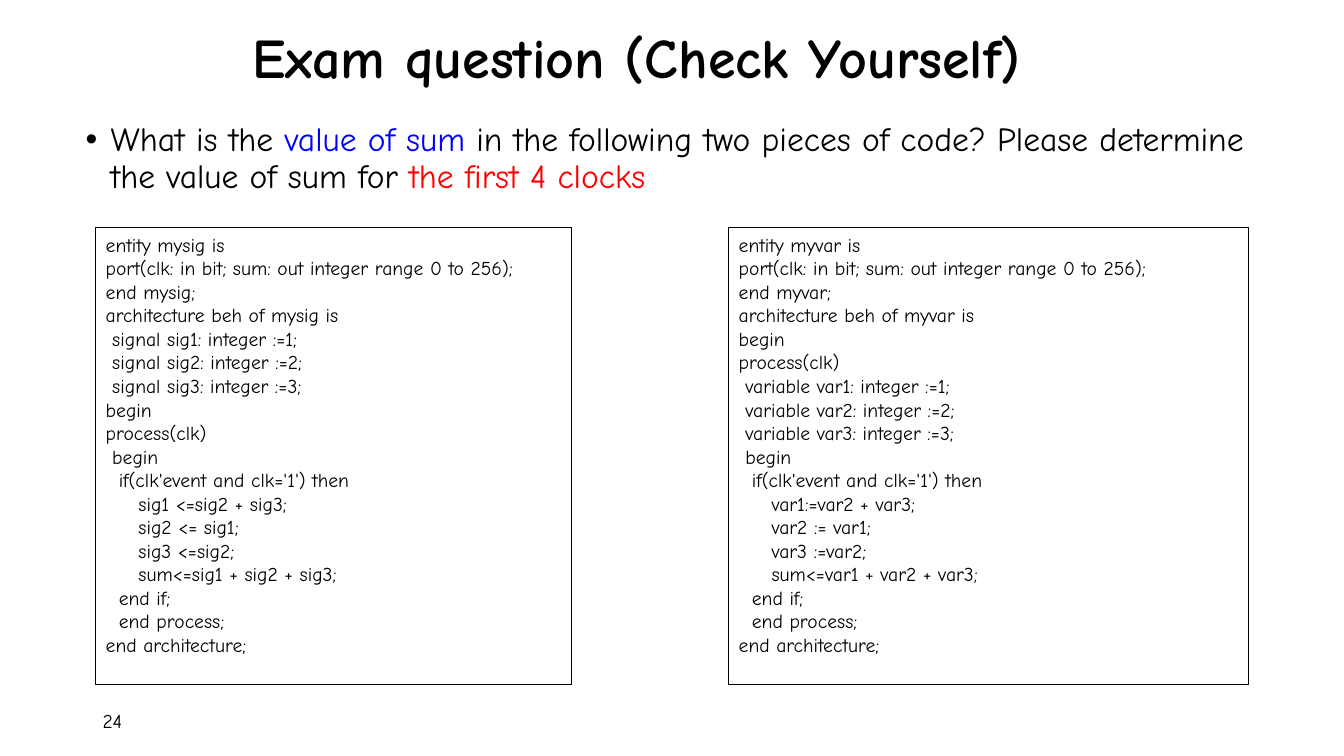
"""Build the exam question slide with two code listings side by side."""
from lxml import etree
from pptx import Presentation
from pptx.dml.color import RGBColor
from pptx.enum.shapes import MSO_SHAPE
from pptx.enum.text import MSO_ANCHOR, PP_ALIGN
from pptx.oxml.ns import qn
from pptx.util import Pt

RECT = MSO_SHAPE.RECTANGLE
TOP, MIDDLE = MSO_ANCHOR.TOP, MSO_ANCHOR.MIDDLE
LEFT = PP_ALIGN.LEFT
FACE = "Comic Neue"
BLACK, WHITE, BLUE, RED = "000000", "FFFFFF", "0000FF", "FF0000"

TITLE = "Exam question (Check Yourself)"
ASK = [
    ("What is the ", BLACK),
    ("value of sum ", BLUE),
    ("in the following two pieces of code? Please determine the value of sum for ", BLACK),
    ("the first 4 clocks", RED),
]
NUMBER = "24"
SIG = """entity mysig is
port(clk: in bit; sum: out integer range 0 to 256);
end mysig;
architecture beh of mysig is
 signal sig1: integer :=1;
 signal sig2: integer :=2;
 signal sig3: integer :=3;
begin
process(clk)
 begin
  if(clk'event and clk='1') then
     sig1 <=sig2 + sig3;
     sig2 <= sig1;
     sig3 <=sig2;
     sum<=sig1 + sig2 + sig3;
  end if;
  end process;
end architecture;"""
VAR = """entity myvar is
port(clk: in bit; sum: out integer range 0 to 256);
end myvar;
architecture beh of myvar is
begin
process(clk)
 variable var1: integer :=1;
 variable var2: integer :=2;
 variable var3: integer :=3;
 begin
  if(clk'event and clk='1') then
     var1:=var2 + var3;
     var2 := var1;
     var3 :=var2;
     sum<=var1 + var2 + var3;
  end if;
  end process;
end architecture;"""
CODE = [(SIG, 68.4, 339.8), (VAR, 520.6, 371.5)]
CODE_TOP, CODE_HIGH = 162.7, 326.2


def paint(hue):
    return RGBColor.from_string(hue)


def write(shape, lines, size, bold=False, anchor=TOP, space=1.0):
    """Fill a shape with lines, each a list of (text, colour) runs."""
    frame = shape.text_frame
    frame.word_wrap = True
    frame.vertical_anchor = anchor
    for i, runs in enumerate(lines):
        para = frame.paragraphs[0] if i == 0 else frame.add_paragraph()
        para.alignment = LEFT
        para.line_spacing = space
        for text, hue in runs:
            run = para.add_run()
            run.text = text
            for key, val in {"name": FACE, "size": Pt(size), "bold": bold}.items():
                setattr(run.font, key, val)
            run.font.color.rgb = paint(hue)
    return frame


def bullet(para, indent):
    props = para._p.get_or_add_pPr()
    props.set("marL", str(Pt(indent)))
    props.set("indent", str(-Pt(indent)))
    etree.SubElement(props, qn("a:buFont")).set("typeface", "Arial")
    etree.SubElement(props, qn("a:buChar")).set("char", "•")


def main():
    deck = Presentation()
    deck.slide_width, deck.slide_height = Pt(960), Pt(540)
    shapes = deck.slides.add_slide(deck.slide_layouts[6]).shapes

    def box(*place):
        return shapes.add_textbox(*map(Pt, place))

    write(box(173.5, 15.8, 650.2, 55.4), [[(TITLE, BLACK)]], 40, True, MIDDLE, 0.9)
    ask = write(box(54, 84.2, 856.1, 96.5), [ASK], 24, space=0.9)
    bullet(ask.paragraphs[0], 18)
    write(box(66.2, 500.4, 216, 28.8), [[(NUMBER, BLACK)]], 14, anchor=MIDDLE)

    for code, left, width in CODE:
        panel = shapes.add_shape(RECT, *map(Pt, (left, CODE_TOP, width, CODE_HIGH)))
        panel.shadow.inherit = False
        panel.fill.solid()
        panel.fill.fore_color.rgb = paint(WHITE)
        panel.line.color.rgb = paint(BLACK)
        panel.line.width = Pt(0.75)
        write(panel, [[(line, BLACK)] for line in code.splitlines()], 14)

    deck.save("out.pptx")


if __name__ == "__main__":
    main()
